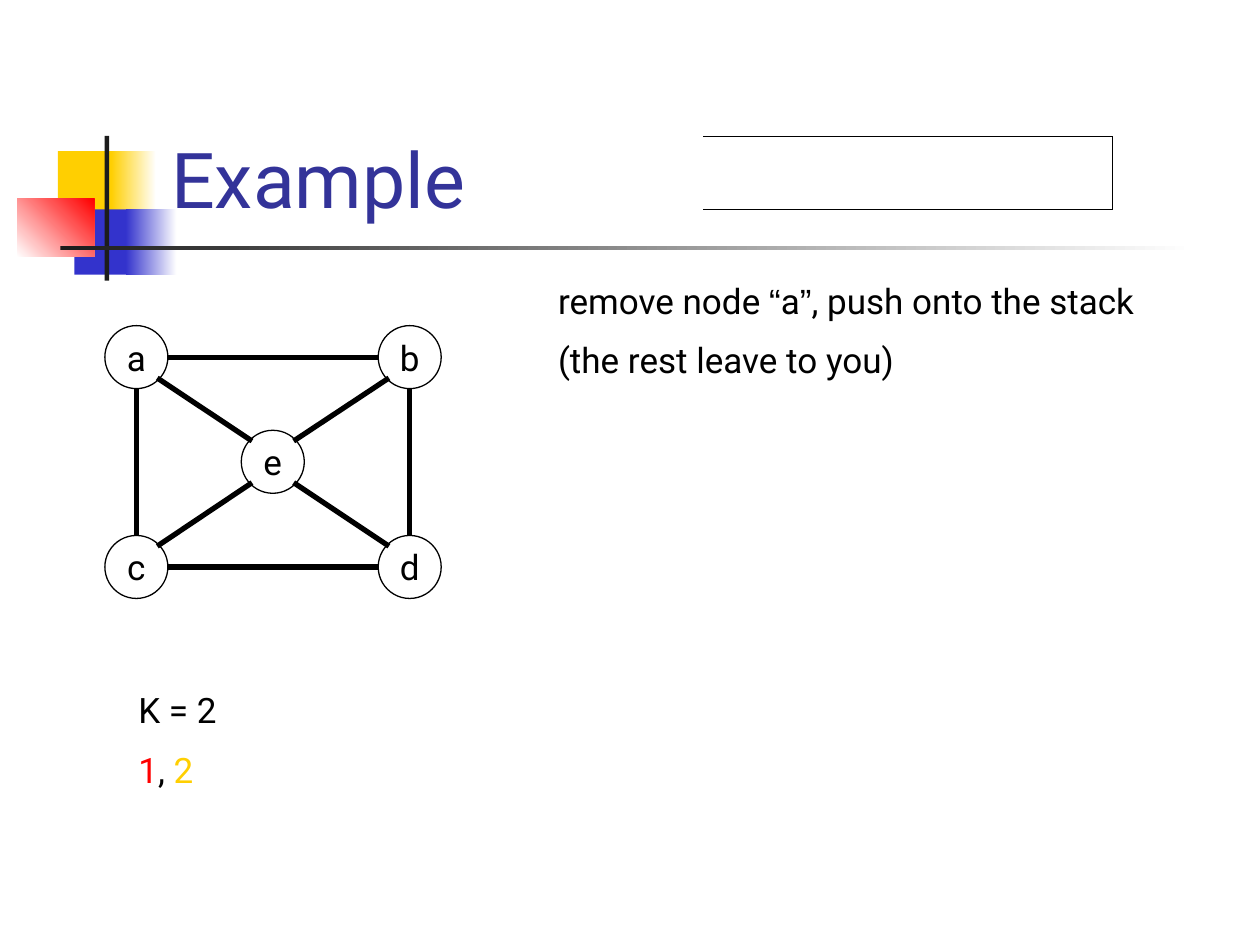
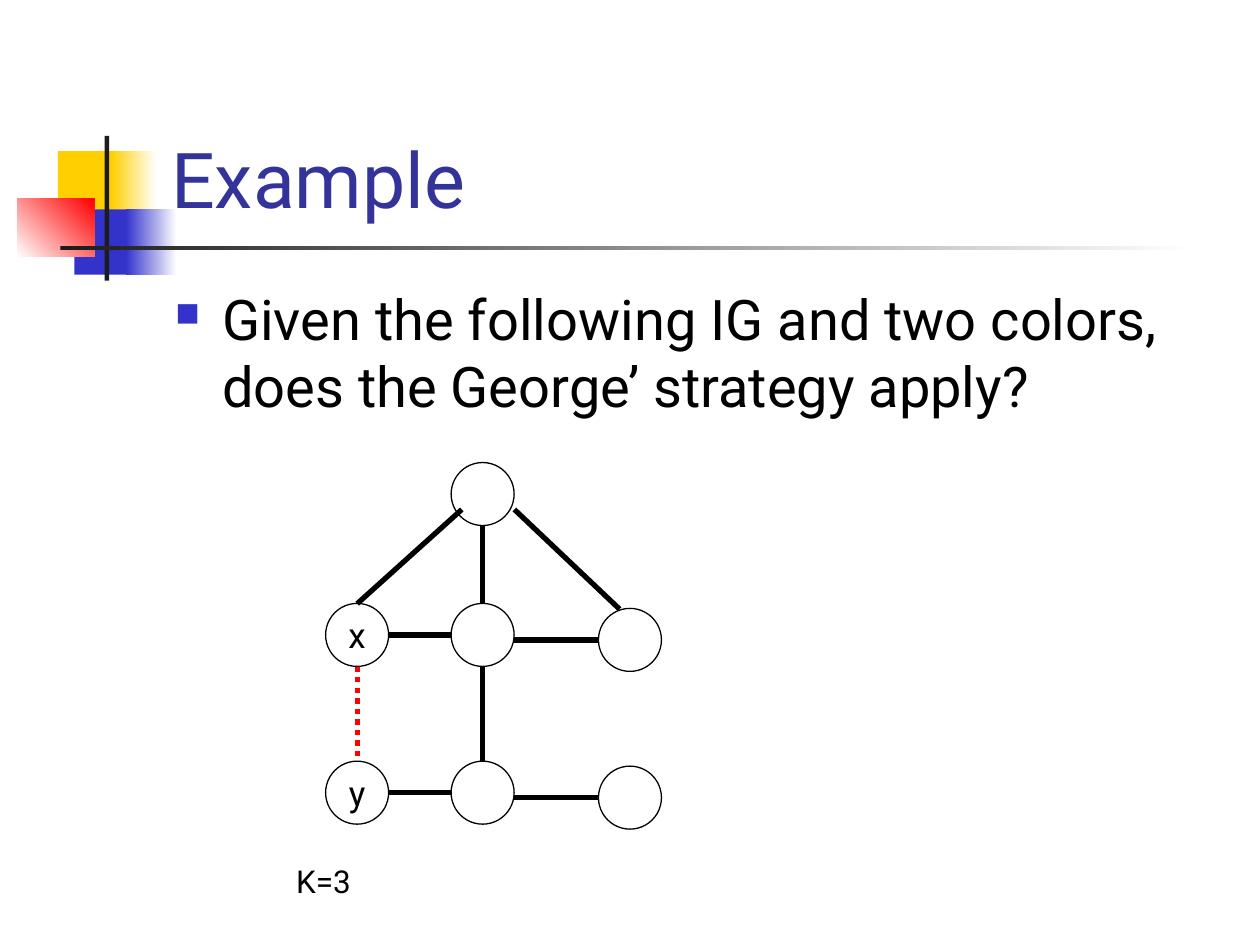
import pptx
import pptx.dml.color
import pptx.enum.dml
import pptx.enum.shapes
import pptx.enum.text
import pptx.oxml.ns
import pptx.util
from lxml import etree

Cm = pptx.util.Cm
Pt = pptx.util.Pt
RGBColor = pptx.dml.color.RGBColor
SHAPE = pptx.enum.shapes.MSO_SHAPE
ANCHOR = pptx.enum.text.MSO_ANCHOR

BLACK = RGBColor(0x00, 0x00, 0x00)
WHITE = RGBColor(0xFF, 0xFF, 0xFF)
YELLOW = RGBColor(0xFF, 0xCF, 0x01)
BLUE = RGBColor(0x33, 0x33, 0xCC)
RED = RGBColor(0xFF, 0x00, 0x00)
CHARCOAL = RGBColor(0x1C, 0x1C, 0x1C)
TITLE_BLUE = RGBColor(0x33, 0x33, 0x99)
FONT = "Roboto"
QUOTE_FONT = "Arial"
NODE_SIZE = 1.27
RADIUS = NODE_SIZE / 2
DIAGONAL_REACH = 0.42


def add_text(slide, left, top, width, height, paragraphs, size, space=0):
    box = slide.shapes.add_textbox(Cm(left), Cm(top), Cm(width), Cm(height))
    frame = box.text_frame
    frame.word_wrap = True
    for index, spans in enumerate(paragraphs):
        para = frame.paragraphs[0] if index == 0 else frame.add_paragraph()
        para.space_before = Pt(space)
        for text, colour, font in spans:
            span = para.add_run()
            span.text = text
            span.font.size = Pt(size)
            span.font.name = font
            span.font.color.rgb = colour
    return box


def add_line(slide, start_x, start_y, end_x, end_y, width=3, colour=BLACK):
    line = slide.shapes.add_connector(
        pptx.enum.shapes.MSO_CONNECTOR.STRAIGHT,
        Cm(start_x), Cm(start_y), Cm(end_x), Cm(end_y))
    line.line.width = Pt(width)
    line.line.color.rgb = colour
    properties = line._element.spPr
    etree.SubElement(properties, pptx.oxml.ns.qn("a:effectLst"))
    return line


deck = pptx.Presentation()
deck.slide_width = Cm(25.4)
deck.slide_height = Cm(19.05)

DECORATION = [
    (1.17, 3.05, 1.22, 1.32, YELLOW, YELLOW, 0),
    (2.24, 3.05, 0.91, 1.32, YELLOW, WHITE, 0),
    (1.5, 4.22, 1.17, 1.32, BLUE, BLUE, 0),
    (2.54, 4.22, 1.02, 1.32, BLUE, WHITE, 0),
    (0.35, 4.01, 1.55, 1.17, WHITE, RED, 45),
    (2.11, 2.74, 0.09, 2.92, CHARCOAL, CHARCOAL, 0),
    (1.22, 4.95, 22.86, 0.09, CHARCOAL, WHITE, 0),
]

pages = []
for number in range(2):
    page = deck.slides.add_slide(deck.slide_layouts[6])
    pages.append(page)
    for left, top, width, height, first, last, angle in DECORATION:
        block = page.shapes.add_shape(
            SHAPE.RECTANGLE, Cm(left), Cm(top), Cm(width), Cm(height))
        block.shadow.inherit = False
        block.line.fill.background()
        if first == last:
            block.fill.solid()
            block.fill.fore_color.rgb = first
        else:
            block.fill.gradient()
            block.fill.gradient_angle = angle
            for stop, colour in zip(block.fill.gradient_stops, (first, last)):
                stop.color.rgb = colour
                stop.position = 0 if colour == first else 1
    title = add_text(page, 3.2, 0.58, 21.64, 4.06,
                     [[("Example", TITLE_BLUE, FONT)]], 44)
    title.text_frame.vertical_anchor = ANCHOR.BOTTOM
stack_page, strategy_page = pages

square_graph = {
    "a": (2.75, 7.2), "b": (8.26, 7.2), "c": (2.75, 11.43),
    "d": (8.26, 11.43), "e": (5.5, 9.31),
}
strategy_graph = [
    ("x", 7.2, 12.8), ("", 9.73, 12.8), ("", 12.7, 12.9),
    ("y", 7.2, 15.98), ("", 9.73, 15.98), ("", 12.7, 16.08),
    ("", 9.73, 9.96),
]

nodes = [(stack_page, name, *centre) for name, centre in square_graph.items()]
nodes += [(strategy_page, *node) for node in strategy_graph]
for page, name, center_x, center_y in nodes:
    node = page.shapes.add_shape(
        SHAPE.OVAL, Cm(center_x - RADIUS), Cm(center_y - RADIUS),
        Cm(NODE_SIZE), Cm(NODE_SIZE))
    node.shadow.inherit = False
    node.fill.background()
    node.line.color.rgb = BLACK
    node.line.width = Pt(0.75)
    if name:
        node.text_frame.text = name
        node.text_frame.word_wrap = False
        node.text_frame.vertical_anchor = ANCHOR.MIDDLE
        para = node.text_frame.paragraphs[0]
        para.alignment = pptx.enum.text.PP_ALIGN.CENTER
        para.runs[0].font.size = Pt(20)
        para.runs[0].font.name = FONT
        para.runs[0].font.color.rgb = BLACK

for start, end in ("ab", "cd", "ae", "ed", "eb", "ce", "ac", "bd"):
    start_x, start_y = square_graph[start]
    end_x, end_y = square_graph[end]
    step_x = (end_x > start_x) - (end_x < start_x)
    step_y = (end_y > start_y) - (end_y < start_y)
    reach = DIAGONAL_REACH if step_x and step_y else RADIUS
    add_line(stack_page, start_x + step_x * reach, start_y + step_y * reach,
             end_x - step_x * reach, end_y - step_y * reach)

add_text(stack_page, 2.54, 13.76, 6.35, 2.36, [
    [("K = 2", BLACK, FONT)],
    [("1", RED, FONT), (", ", BLACK, FONT), ("2", YELLOW, FONT)],
], 20, 10)
add_text(stack_page, 11, 5.5, 13.34, 2.39, [
    [("remove node ", BLACK, FONT), ("“", BLACK, QUOTE_FONT),
     ("a", BLACK, FONT), ("”", BLACK, QUOTE_FONT),
     (", push onto the stack", BLACK, FONT)],
    [("(the rest leave to you)", BLACK, FONT)],
], 20, 10)

STACK_LEFT, STACK_RIGHT, STACK_TOP, STACK_BOTTOM = 14.18, 22.43, 2.75, 4.23
add_line(stack_page, STACK_LEFT, STACK_BOTTOM, STACK_RIGHT, STACK_BOTTOM, 0.75)
add_line(stack_page, STACK_RIGHT, STACK_TOP, STACK_RIGHT, STACK_BOTTOM, 0.75)
add_line(stack_page, STACK_LEFT, STACK_TOP, STACK_RIGHT, STACK_TOP, 0.75)

question = add_text(strategy_page, 3.28, 5.61, 21.59, 11.43, [[
    ("Given the following IG and two colors, does the George’ strategy apply?",
     BLACK, FONT)]], 32, 6.4)
properties = question.text_frame.paragraphs[0]._p.get_or_add_pPr()
properties.set("marL", str(Cm(0.95)))
properties.set("indent", str(-Cm(0.95)))
bullet_colour = etree.SubElement(properties, pptx.oxml.ns.qn("a:buClr"))
etree.SubElement(bullet_colour, pptx.oxml.ns.qn("a:srgbClr"), val=str(BLUE))
etree.SubElement(properties, pptx.oxml.ns.qn("a:buSzPct"), val="60000")
etree.SubElement(properties, pptx.oxml.ns.qn("a:buChar"), char="■")

for edge in [
    (7.83, 15.98, 9.1, 15.98),
    (7.83, 12.8, 9.1, 12.8),
    (9.73, 13.44, 9.73, 15.34),
    (10.37, 12.9, 12.07, 12.9),
    (10.37, 16.08, 12.07, 16.08),
    (9.73, 12.17, 9.73, 10.6),
    (7.2, 12.17, 9.31, 10.27),
    (10.37, 10.27, 12.49, 12.28),
]:
    add_line(strategy_page, *edge)
move_edge = add_line(strategy_page, 7.2, 13.44, 7.2, 15.34, colour=RED)
move_edge.line.dash_style = pptx.enum.dml.MSO_LINE.ROUND_DOT

add_text(strategy_page, 5.72, 17.25, 4.45, 1.02, [[("K=3", BLACK, FONT)]], 18)

deck.save("out.pptx")
